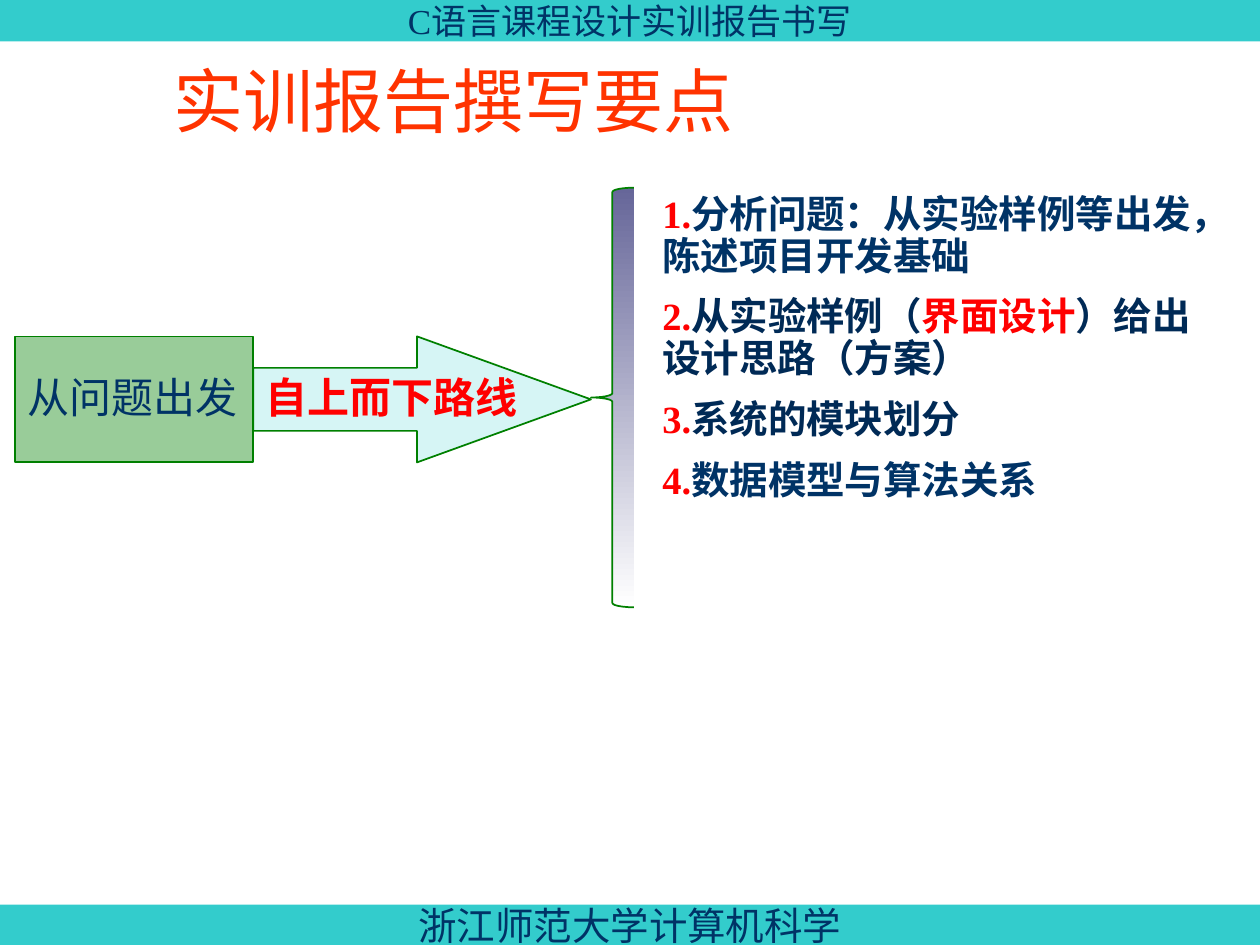
import pptx
import pptx.util
from pptx.dml.color import RGBColor
from pptx.enum.shapes import MSO_SHAPE
from pptx.enum.text import MSO_ANCHOR, PP_ALIGN

COLS, ROWS = 100, 75
CELL = pptx.util.Inches(0.1)
SERIF, SANS = "Times New Roman", "Arial"

TEAL = RGBColor(0x33, 0xCC, 0xCC)
NAVY = RGBColor(0x00, 0x33, 0x66)
DEEP_NAVY = RGBColor(0x00, 0x2A, 0x56)
ORANGE = RGBColor(0xFF, 0x33, 0x00)
RED = RGBColor(0xFF, 0x00, 0x00)
GREEN = RGBColor(0x00, 0x80, 0x00)
SAGE = RGBColor(0x99, 0xCC, 0x99)
PALE_TEAL = RGBColor(0xD6, 0xF5, 0xF5)
SLATE = RGBColor(0x66, 0x66, 0x99)
WHITE = RGBColor(0xFF, 0xFF, 0xFF)

POINTS = [
    [("1.", RED), ("分析问题：从实验样例等出发，陈述项目开发基础", NAVY)],
    [("2.", RED), ("从实验样例（", DEEP_NAVY), ("界面设计", RED),
     ("）给出设计思路（方案）", DEEP_NAVY)],
    [("3.", RED), ("系统的模块划分", DEEP_NAVY)],
    [("4.", RED), ("数据模型与算法关系", NAVY)],
]


def emu(box):
    return [round(v * CELL) for v in box]


def style(r, size, color, name=SERIF, bold=False):
    r.font.name = name
    r.font.size = pptx.util.Pt(size)
    r.font.bold = bold
    r.font.color.rgb = color


def add_outline(s, kind, box, fill=None, line=None):
    sp = s.shapes.add_shape(kind, *emu(box))
    sp.shadow.inherit = False
    if fill is not None:
        sp.fill.solid()
        sp.fill.fore_color.rgb = fill
    if line is None:
        sp.line.fill.background()
    else:
        sp.line.color.rgb = line
        sp.line.width = pptx.util.Pt(1)
    return sp


def set_label(sp, text, size, color, align=PP_ALIGN.LEFT, spacing=1.0, bold=False):
    tf = sp.text_frame
    tf.word_wrap = False
    tf.vertical_anchor = MSO_ANCHOR.MIDDLE
    tf.text = text
    p = tf.paragraphs[0]
    p.alignment = align
    p.line_spacing = spacing
    style(p.runs[0], size, color, bold=bold)


def add_band(s, box, text, size):
    sp = add_outline(s, MSO_SHAPE.RECTANGLE, box, TEAL)
    set_label(sp, text, size, NAVY, PP_ALIGN.CENTER)


def add_title(s, box, text):
    tf = s.shapes.add_textbox(*emu(box)).text_frame
    tf.word_wrap = True
    tf.vertical_anchor = MSO_ANCHOR.MIDDLE
    tf.text = text
    p = tf.paragraphs[0]
    p.line_spacing = 0.9
    style(p.runs[0], 40, ORANGE, SANS)


def add_route(s, box):
    x, y, w, h = box
    start_w = 18.9
    start = add_outline(s, MSO_SHAPE.RECTANGLE, (x, y, start_w, h), SAGE, GREEN)
    set_label(start, "从问题出发", 24, NAVY, spacing=0.9)
    arrow = add_outline(s, MSO_SHAPE.RIGHT_ARROW, (x + start_w, y, w - start_w, h),
                        PALE_TEAL, GREEN)
    arrow.adjustments[0] = 0.5
    arrow.adjustments[1] = 1.38
    set_label(arrow, "自上而下路线", 24, RED, spacing=0.9, bold=True)


def add_brace(s, box):
    sp = add_outline(s, MSO_SHAPE.LEFT_BRACE, box, line=GREEN)
    sp.adjustments[0] = 0.1
    sp.adjustments[1] = 0.5
    sp.fill.gradient()
    sp.fill.gradient_angle = 270
    for stop, color in zip(sp.fill.gradient_stops, (SLATE, WHITE)):
        stop.color.rgb = color


def add_points(s, box, points):
    tf = s.shapes.add_textbox(*emu(box)).text_frame
    tf.word_wrap = True
    for i, parts in enumerate(points):
        p = tf.add_paragraph() if i else tf.paragraphs[0]
        p.line_spacing = 0.9
        p.space_before = pptx.util.Pt(11 if i else 0)
        for text, color in parts:
            r = p.add_run()
            r.text = text
            style(r, 22, color, bold=True)


def main():
    prs = pptx.Presentation()
    prs.slide_width, prs.slide_height = COLS * CELL, ROWS * CELL
    s = prs.slides.add_slide(prs.slide_layouts[6])
    band_h = 3.3
    add_band(s, (0, 0, COLS, band_h), "C语言课程设计实训报告书写", 20)
    add_band(s, (0, ROWS - band_h + 0.1, COLS, band_h), "浙江师范大学计算机科学", 22)
    add_title(s, (12.8, 4.2, 77.2, 8.3), "实训报告撰写要点")
    add_route(s, (1.2, 26.7, 45.7, 10))
    add_brace(s, (46.9, 14.9, 3.4, 33.3))
    add_points(s, (51.6, 15, 45.7, 32.9), POINTS)
    prs.save("out.pptx")


if __name__ == "__main__":
    main()
